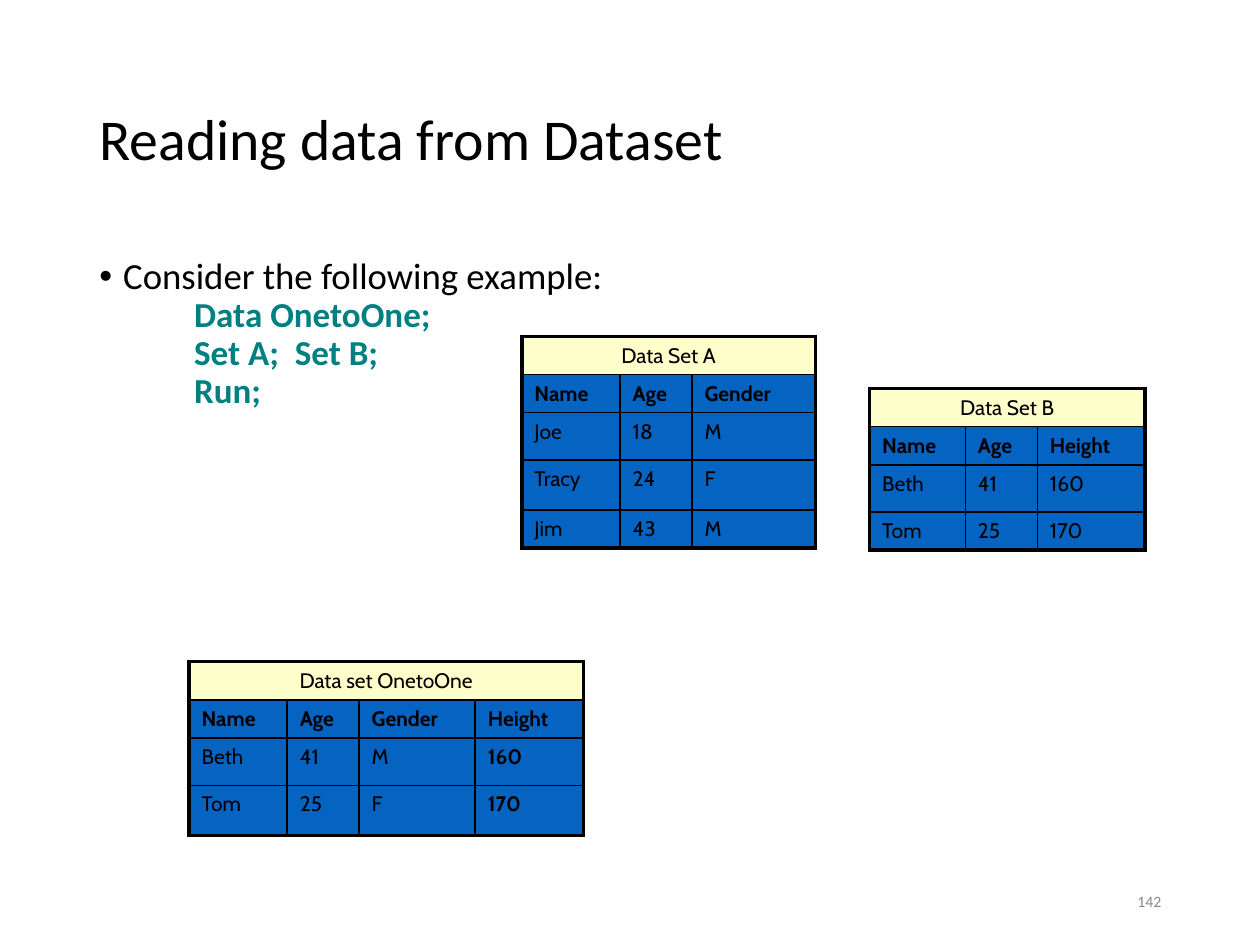
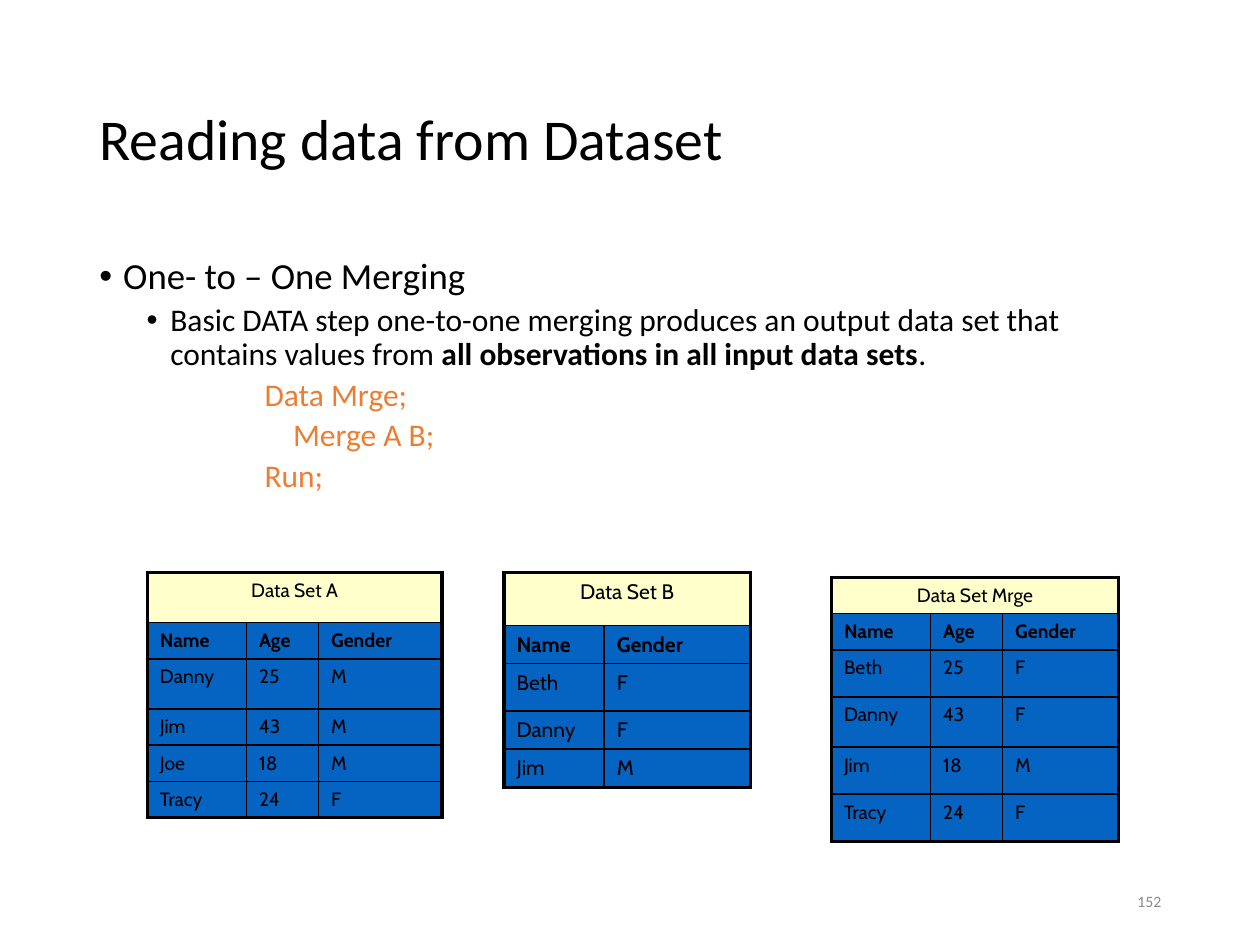
from lxml.etree import SubElement
from pptx import Presentation
from pptx.dml.color import RGBColor
from pptx.enum.text import MSO_ANCHOR as Anchor, MSO_AUTO_SIZE as AutoSize, PP_ALIGN as Align
from pptx.oxml.ns import qn
from pptx.util import Cm, Pt

BLACK = RGBColor(0x00, 0x00, 0x00)
GRAY = RGBColor(0x89, 0x89, 0x89)
TEAL = RGBColor(0x00, 0x80, 0x80)
ORANGE = RGBColor(0xED, 0x7D, 0x31)
CREAM = RGBColor(0xFF, 0xFF, 0xCC)
BLUE = RGBColor(0x05, 0x63, 0xC1)
TEXT_FONT = "Calibri"
TABLE_FONT = "Cabin"
THICK, THIN = Pt(2.25), Pt(1)
HANG = Cm(0.48)
LOW, SMALL, MID, TALL, TALLEST = 0.73, 0.77, 0.95, 1.01, 1.07


def write(paragraph, text, size=18, color=BLACK, font=TEXT_FONT, bold=False,
          align=Align.LEFT, spacing=1.0, before=0, level=0, indent=None, bullet=False):
    paragraph.alignment = align
    paragraph.line_spacing = spacing
    paragraph.space_before = Pt(before)
    paragraph.level = level
    if indent is not None:
        properties = paragraph._p.get_or_add_pPr()
        properties.set("marL", str(Cm(indent)))
        properties.set("indent", str(-HANG if bullet else 0))
        if bullet:
            SubElement(properties, qn("a:buFont"), typeface="Arial")
            SubElement(properties, qn("a:buChar"), char="•")
        else:
            SubElement(properties, qn("a:buNone"))
    for position, part in enumerate(text.split("**")):
        run = paragraph.add_run()
        run.text = part
        run.font.name = font
        run.font.size = Pt(size)
        run.font.bold = bold or position % 2 == 1
        run.font.color.rgb = color


def set_border(cell, side, width):
    line = SubElement(cell._tc.get_or_add_tcPr(), qn(f"a:ln{side}"), w=str(width))
    fill = SubElement(line, qn("a:solidFill"))
    SubElement(fill, qn("a:srgbClr"), val=str(BLACK))


heading = dict(size=21, indent=0.48, bullet=True)
detail = dict(size=18, level=1, before=3.8, indent=1.43, bullet=True)
step_code = dict(size=20, level=2, indent=1.91, color=TEAL, bold=True)
merge_code = dict(size=18, level=1, before=3.8, indent=3.33, color=ORANGE)

slides = [
    dict(
        number="142",
        lines=[
            ("Consider the following example:", heading),
            ("Data OnetoOne;", step_code),
            ("Set A;  Set B;", step_code),
            ("Run;", step_code),
        ],
        tables=[
            dict(title="Data Set A", at=(10.52, 6.78), size=12,
                 widths=[1.98, 1.45, 2.49], heights=[SMALL, SMALL, MID, TALL, SMALL],
                 rows=["Name Age Gender", "Joe 18 M", "Tracy 24 F", "Jim 43 M"]),
            dict(title="Data Set B", at=(17.53, 7.83), size=12,
                 widths=[1.93, 1.45, 2.17], heights=[SMALL, SMALL, MID, SMALL],
                 rows=["Name Age Height", "Beth 41 160", "Tom 25 170"]),
            dict(title="Data set OnetoOne", at=(3.81, 13.34), size=12, bold_column=3,
                 widths=[1.98, 1.45, 2.34, 2.18], heights=[SMALL, SMALL, MID, TALL],
                 rows=["Name Age Gender Height", "Beth 41 M 160", "Tom 25 F 170"]),
        ],
    ),
    dict(
        number="152",
        lines=[
            ("One- to – One Merging", heading),
            ("Basic DATA step one-to-one merging produces an output data set that contains "
             "values from **all observations in all input data sets**.", detail),
            ("Data Mrge;", merge_code),
            ("    Merge A B;", merge_code),
            ("Run;", merge_code),
        ],
        tables=[
            dict(title="Data Set A", at=(2.97, 11.54), size=11,
                 widths=[2, 1.45, 2.49], heights=[TALL, LOW, TALL, LOW, LOW, LOW],
                 rows=["Name Age Gender", "Danny 25 M", "Jim 43 M", "Joe 18 M", "Tracy 24 F"]),
            dict(title="Data Set B", at=(10.16, 11.54), size=12,
                 widths=[2.02, 2.95], heights=[TALLEST, SMALL, MID, SMALL, SMALL],
                 rows=["Name Gender", "Beth F", "Danny F", "Jim M"]),
            dict(title="Data Set Mrge", at=(16.76, 11.64), size=11,
                 widths=[2, 1.45, 2.34], heights=[LOW, LOW, MID, TALL, MID, MID],
                 rows=["Name Age Gender", "Beth 25 F", "Danny 43 F", "Jim 18 M", "Tracy 24 F"]),
        ],
    ),
]

presentation = Presentation()
presentation.slide_width, presentation.slide_height = Cm(25.4), Cm(19.05)

for content in slides:
    slide = presentation.slides.add_slide(presentation.slide_layouts[1])

    title, body = slide.placeholders
    for placeholder, top, height, anchor in [
        (title, 1.01, 3.68, Anchor.MIDDLE),
        (body, 5.07, 12.09, Anchor.TOP),
    ]:
        placeholder.left, placeholder.top = Cm(1.75), Cm(top)
        placeholder.width, placeholder.height = Cm(21.9), Cm(height)
        placeholder.text_frame.auto_size = AutoSize.NONE
        placeholder.text_frame.vertical_anchor = anchor

    write(title.text_frame.paragraphs[0], "Reading data from Dataset", size=33, spacing=0.9)

    for index, (text, style) in enumerate(content["lines"]):
        frame = body.text_frame
        paragraph = frame.add_paragraph() if index else frame.paragraphs[0]
        write(paragraph, text, spacing=0.9, **style)

    number_box = slide.shapes.add_textbox(Cm(17.94), Cm(17.66), Cm(5.72), Cm(1.01))
    number_box.text_frame.word_wrap = True
    number_box.text_frame.vertical_anchor = Anchor.MIDDLE
    write(number_box.text_frame.paragraphs[0], content["number"],
          size=9, color=GRAY, align=Align.RIGHT)

    for data in content["tables"]:
        widths, heights = data["widths"], data["heights"]
        left, top = data["at"]
        table = slide.shapes.add_table(
            len(heights), len(widths), Cm(left), Cm(top), Cm(sum(widths)), Cm(sum(heights))
        ).table
        table.first_row = table.horz_banding = False
        for column, width in zip(table.columns, widths):
            column.width = Cm(width)
        for row, height in zip(table.rows, heights):
            row.height = Cm(height)
        last_row, last_column = len(heights) - 1, len(widths) - 1
        table.cell(0, 0).merge(table.cell(0, last_column))

        rows = [[data["title"]]] + [row.split() for row in data["rows"]]
        for r, values in enumerate(rows):
            for c, value in enumerate(values):
                cell = table.cell(r, c)
                set_border(cell, "L", THICK if c == 0 else THIN)
                set_border(cell, "R", THICK if r == 0 or c == last_column else THIN)
                set_border(cell, "T", THICK if r == 0 else THIN)
                set_border(cell, "B", THICK if r == last_row else THIN)
                cell.fill.solid()
                cell.fill.fore_color.rgb = BLUE if r else CREAM
                write(cell.text_frame.paragraphs[0], value, size=data["size"], font=TABLE_FONT,
                      bold=r == 1 or c == data.get("bold_column"),
                      align=Align.LEFT if r else Align.CENTER)

presentation.save("out.pptx")
